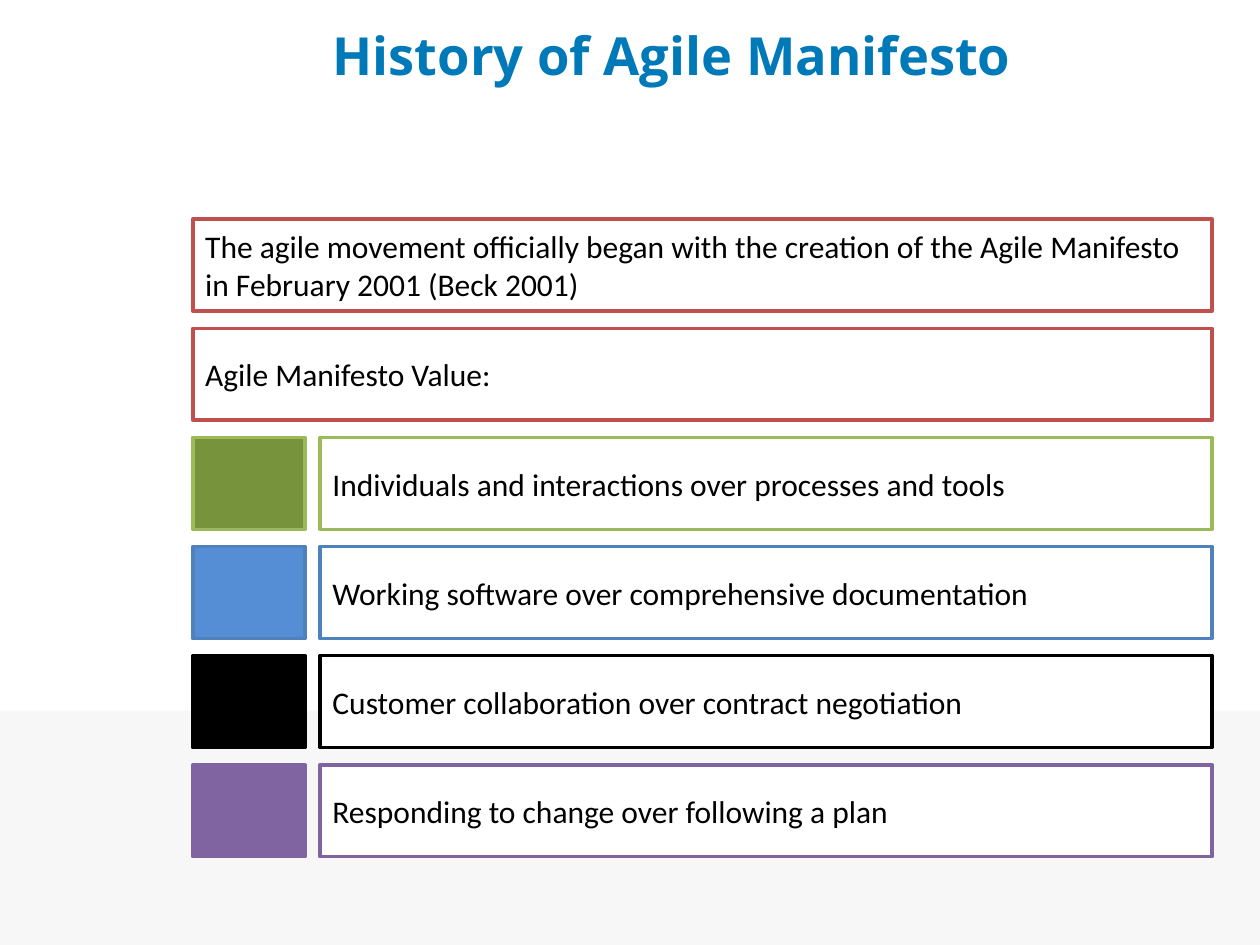
from dataclasses import dataclass
from typing import Optional

from pptx import Presentation
from pptx.dml.color import RGBColor
from pptx.enum.shapes import MSO_SHAPE
from pptx.enum.text import MSO_ANCHOR, PP_ALIGN
from pptx.util import Inches, Pt


@dataclass(frozen=True)
class Theme:
    title_font: str = "Open Sans"
    body_font: str = "Calibri"
    title_size: float = 30
    body_size: float = 18
    line_width: float = 2
    title_color: str = "0079B8"
    text: str = "000000"
    paper: str = "FFFFFF"
    band: str = "F7F7F7"
    red: str = "C0504D"
    green: str = "9BBB59"
    dark_green: str = "77933C"
    blue: str = "4F81BD"
    light_blue: str = "558ED5"
    black: str = "000000"
    purple: str = "8064A2"


@dataclass(frozen=True)
class Row:
    text: str
    outline: str
    marker: Optional[str] = None


THEME = Theme()
ROWS = [
    Row("The agile movement officially began with the creation of the "
        "Agile Manifesto in February 2001 (Beck 2001)", THEME.red),
    Row("Agile Manifesto Value:", THEME.red),
    Row("Individuals and interactions over processes and tools",
        THEME.green, THEME.dark_green),
    Row("Working software over comprehensive documentation",
        THEME.blue, THEME.light_blue),
    Row("Customer collaboration over contract negotiation",
        THEME.black, THEME.black),
    Row("Responding to change over following a plan",
        THEME.purple, THEME.purple),
]

LEFT, RIGHT, INDENTED_LEFT = 1.53, 9.62, 2.54
FIRST_TOP, LAST_TOP = 1.74, 6.07
ROW_HEIGHT, MARKER_WIDTH = 0.73, 0.89
ROW_PITCH = (LAST_TOP - FIRST_TOP) / (len(ROWS) - 1)


def add_box(page, left: float, top: float, width: float, height: float,
            fill: str, outline: Optional[str] = None):
    box = page.shapes.add_shape(MSO_SHAPE.RECTANGLE, Inches(left), Inches(top),
                                Inches(width), Inches(height))
    box.shadow.inherit = False
    box.fill.solid()
    box.fill.fore_color.rgb = RGBColor.from_string(fill)
    if outline:
        box.line.color.rgb = RGBColor.from_string(outline)
        box.line.width = Pt(THEME.line_width)
    else:
        box.line.fill.background()
    return box


def write_text(box, text: str, font: str, size: float, color: str,
               bold: bool = False) -> None:
    """Put one left-aligned, vertically centred paragraph in a shape."""
    frame = box.text_frame
    frame.word_wrap = True
    frame.vertical_anchor = MSO_ANCHOR.MIDDLE
    para = frame.paragraphs[0]
    para.alignment = PP_ALIGN.LEFT
    span = para.add_run()
    span.text = text
    span.font.name = font
    span.font.size = Pt(size)
    span.font.bold = bold
    span.font.color.rgb = RGBColor.from_string(color)


def add_title(page, text: str) -> None:
    title = page.shapes.title
    title.left, title.top = Inches(INDENTED_LEFT), Inches(0)
    title.width, title.height = Inches(7.48), Inches(0.87)
    write_text(title, text, THEME.title_font, THEME.title_size,
               THEME.title_color, bold=True)


def add_row(page, row: Row, top: float) -> None:
    """Draw a row's text box, indented behind a colour marker if it has one."""
    left = INDENTED_LEFT if row.marker else LEFT
    box = add_box(page, left, top, RIGHT - left, ROW_HEIGHT,
                  THEME.paper, row.outline)
    write_text(box, row.text, THEME.body_font, THEME.body_size, THEME.text)
    if row.marker:
        add_box(page, LEFT, top, MARKER_WIDTH, ROW_HEIGHT,
                row.marker, row.outline)


def main() -> None:
    deck = Presentation()
    deck.slide_width, deck.slide_height = Inches(10), Inches(7.5)
    page = deck.slides.add_slide(deck.slide_layouts.get_by_name("Title Only"))
    add_box(page, 0, 5.64, 10, 1.86, THEME.band)
    add_title(page, "History of Agile Manifesto")
    for index, row in enumerate(ROWS):
        add_row(page, row, FIRST_TOP + index * ROW_PITCH)
    deck.save("out.pptx")


if __name__ == "__main__":
    main()
